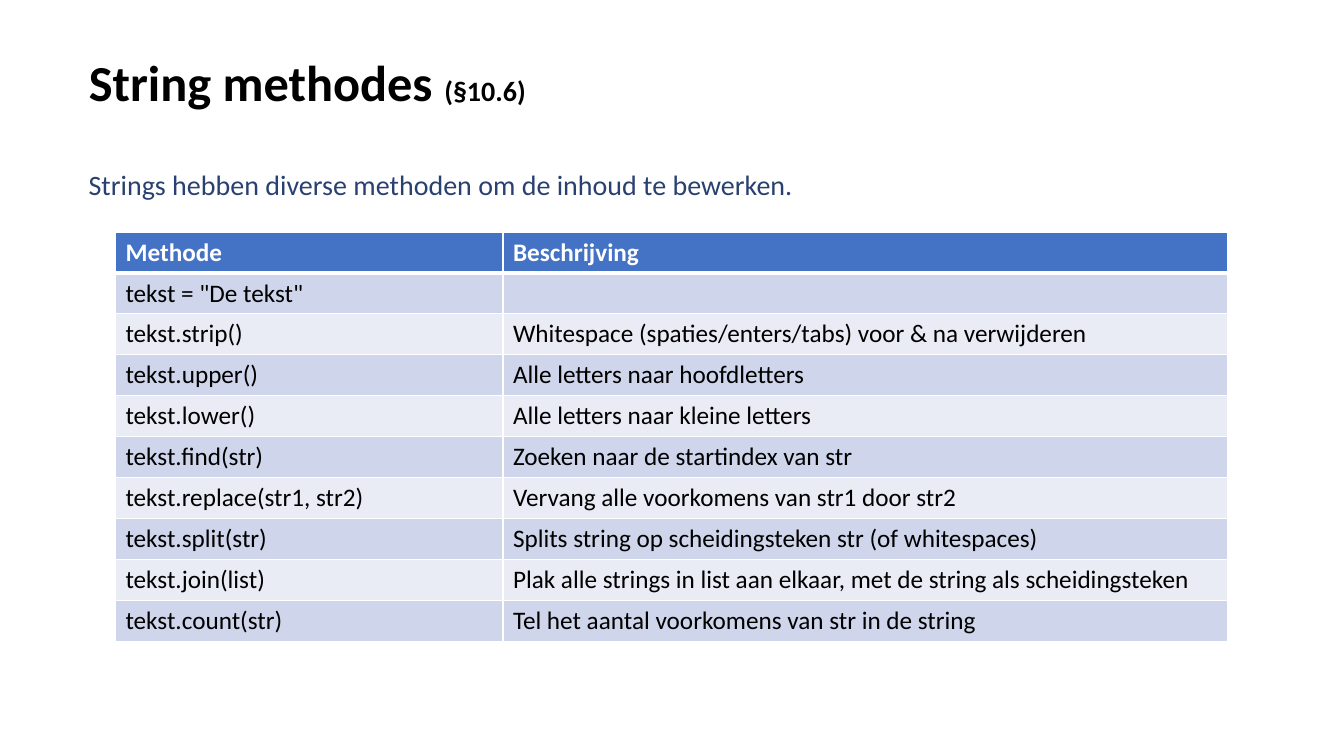
from dataclasses import dataclass
from typing import Any

from lxml import etree
from pptx import Presentation
from pptx import util as u
from pptx.dml.color import RGBColor
from pptx.enum import text
from pptx.oxml.ns import qn

PX = 9525  # EMU per px, on a 1280 x 720 slide


@dataclass(frozen=True)
class Theme:
    font: str = "Calibri"
    ink: str = "000000"
    intro: str = "294171"
    white: str = "FFFFFF"
    header: str = "4472C4"
    bands: tuple[str, str] = ("CFD5EA", "E9EBF5")
    title_pt: int = 36
    small_pt: int = 20
    table_pt: int = 18
    rule_pt: int = 1
    header_rule_pt: int = 3


@dataclass(frozen=True)
class Box:
    left: int
    top: int
    width: int
    height: int

    def emu(self) -> list[int]:
        return [n * PX for n in (self.left, self.top, self.width, self.height)]


@dataclass(frozen=True)
class Method:
    call: str
    description: str


THEME = Theme()
TITLE_BOX = Box(75, 0, 816, 155)
INTRO_BOX = Box(75, 155, 1022, 56)
COLUMNS = (369, 690)
ROW_HEIGHT = 39

METHODS = [
    Method('tekst = "De tekst"', ""),
    Method("tekst.strip()", "Whitespace (spaties/enters/tabs) voor & na verwijderen"),
    Method("tekst.upper()", "Alle letters naar hoofdletters"),
    Method("tekst.lower()", "Alle letters naar kleine letters"),
    Method("tekst.find(str)", "Zoeken naar de startindex van str"),
    Method("tekst.replace(str1, str2)", "Vervang alle voorkomens van str1 door str2"),
    Method("tekst.split(str)", "Splits string op scheidingsteken str (of whitespaces)"),
    Method("tekst.join(list)",
           "Plak alle strings in list aan elkaar, met de string als scheidingsteken"),
    Method("tekst.count(str)", "Tel het aantal voorkomens van str in de string"),
]
ROWS = [Method("Methode", "Beschrijving"), *METHODS]
TABLE_BOX = Box(110, 221, sum(COLUMNS), ROW_HEIGHT * len(ROWS))


def add_run(p: Any, words: str, size: int, color: str, bold: bool = False) -> None:
    r = p.add_run()
    r.text = words
    for name, value in {"name": THEME.font, "size": u.Pt(size), "bold": bold}.items():
        setattr(r.font, name, value)
    r.font.color.rgb = RGBColor.from_string(color)


def set_frame(tf: Any, anchor: Any) -> None:
    settings = {"word_wrap": True, "auto_size": text.MSO_AUTO_SIZE.NONE,
                "vertical_anchor": anchor}
    for name, value in settings.items():
        setattr(tf, name, value)


def set_borders(cell: Any, top: int, bottom: int) -> None:
    widths = {"a:lnL": THEME.rule_pt, "a:lnR": THEME.rule_pt, "a:lnT": top, "a:lnB": bottom}
    tc_pr = cell._tc.get_or_add_tcPr()
    for tag, width in widths.items():
        ln = etree.SubElement(tc_pr, qn(tag), w=str(u.Pt(width)))
        fill = etree.SubElement(ln, qn("a:solidFill"))
        etree.SubElement(fill, qn("a:srgbClr"), val=THEME.white)


def add_title(slide: Any) -> None:
    sp = slide.shapes.title
    sp.left, sp.top, sp.width, sp.height = TITLE_BOX.emu()
    set_frame(sp.text_frame, text.MSO_ANCHOR.MIDDLE)
    p = sp.text_frame.paragraphs[0]
    p.alignment = text.PP_ALIGN.LEFT
    add_run(p, "String methodes ", THEME.title_pt, THEME.ink, True)
    add_run(p, "(§10.6)", THEME.small_pt, THEME.ink, True)


def add_intro(slide: Any) -> None:
    tf = slide.shapes.add_textbox(*INTRO_BOX.emu()).text_frame
    set_frame(tf, text.MSO_ANCHOR.TOP)
    add_run(tf.paragraphs[0], "Strings hebben diverse methoden om de inhoud te bewerken.",
            THEME.small_pt, THEME.intro)


def add_methods(slide: Any) -> None:
    table = slide.shapes.add_table(len(ROWS), len(COLUMNS), *TABLE_BOX.emu()).table
    for column, width in zip(table.columns, COLUMNS):
        column.width = width * PX
    for i, (row, method) in enumerate(zip(table.rows, ROWS)):
        row.height = ROW_HEIGHT * PX
        is_header = i == 0
        fill = THEME.header if is_header else THEME.bands[(i - 1) % 2]
        # The thick rule is shared by the header and the first method
        top = THEME.header_rule_pt if i == 1 else THEME.rule_pt
        bottom = THEME.header_rule_pt if is_header else THEME.rule_pt
        for cell, words in zip(row.cells, (method.call, method.description)):
            set_borders(cell, top, bottom)
            cell.fill.solid()
            cell.fill.fore_color.rgb = RGBColor.from_string(fill)
            if words:
                add_run(cell.text_frame.paragraphs[0], words, THEME.table_pt,
                        THEME.white if is_header else THEME.ink, is_header)


def main() -> None:
    prs = Presentation()
    prs.slide_width, prs.slide_height = 1280 * PX, 720 * PX
    slide = prs.slides.add_slide(prs.slide_layouts.get_by_name("Title Only"))
    add_title(slide)
    add_intro(slide)
    add_methods(slide)
    prs.save("out.pptx")


if __name__ == "__main__":
    main()
